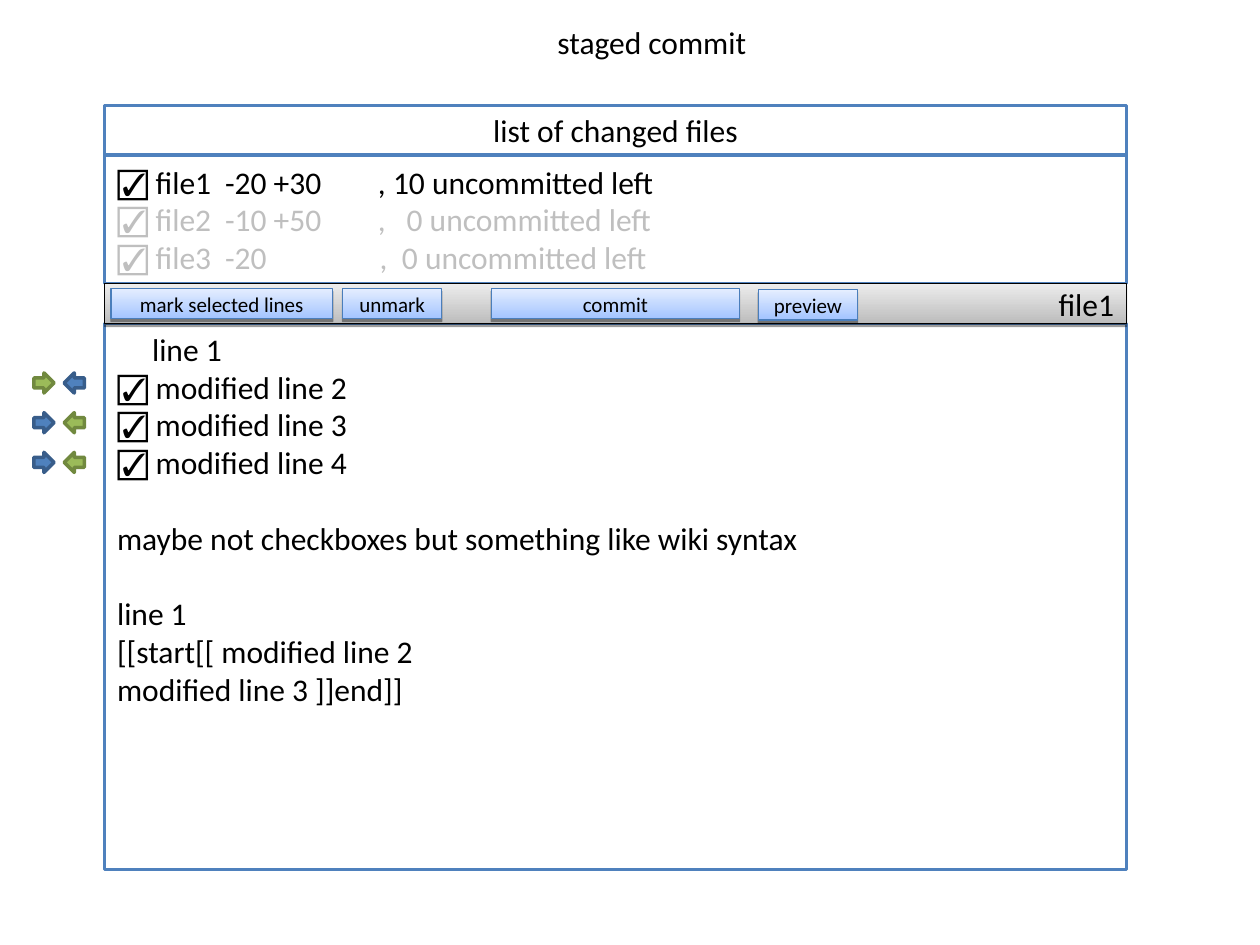
import pptx
import pptx.util
import pptx.dml.color
import pptx.enum.shapes
import pptx.enum.text
import pptx.oxml
import pptx.oxml.ns

Pt = pptx.util.Pt
SHAPE = pptx.enum.shapes.MSO_SHAPE
ALIGN = pptx.enum.text.PP_ALIGN
ANCHOR = pptx.enum.text.MSO_ANCHOR

COLORS = {
    "white": "FFFFFF", "black": "000000", "muted": "BFBFBF",
    "blue": "4F81BD", "blue_edge": "385D8A",
    "green": "9BBB59", "green_edge": "71893F",
    "button_edge": "4A7EBB", "button_dark": "A3C4FF", "button_light": "E5EEFF",
    "bar_dark": "BCBCBC", "bar_light": "EDEDED",
}

TITLE = "staged commit"
HEADER = "list of changed files"
CURRENT_FILE = "file1"
CHECK = "☑"
# text, colour, tab stops
FILES = [
    ("file1\t-20 +30\t,\t10 uncommitted left", "black", (61.7, 149, 157.7)),
    ("file2\t-10 +50\t,\t0 uncommitted left", "muted", (61.7, 149, 165.5)),
    ("file3\t-20\t,\t0 uncommitted left", "muted", (61.7, 150, 162.8)),
]
# text, checked, indent, space before
LINES = [
    ("line 1", False, 20, 0),
    ("modified line 2", True, 0, 0),
    ("modified line 3", True, 0, 0),
    ("modified line 4", True, 0, 0),
    ("maybe not checkboxes but something like wiki syntax", False, 0, 21.6),
    ("line 1", False, 0, 21.6),
    ("[[start[[ modified line 2", False, 0, 0),
    ("modified line 3 ]]end]]", False, 0, 0),
]
# label, left, top, width
BUTTONS = [
    ("mark selected lines", 63.4, 164.9, 126.7),
    ("unmark", 195.8, 164.9, 56.7),
    ("commit", 280.8, 164.9, 141.8),
    ("preview", 433.4, 165.6, 56.7),
]
# right arrow, left arrow
ARROWS = [("green", "blue"), ("blue", "green"), ("blue", "green")]

LEFT, WIDTH = 59.8, 583.9
HEADER_TOP, FILES_TOP, BAR_TOP, LINES_TOP, BOTTOM = 60.3, 88.6, 162, 185, 496.8
BUTTON_HEIGHT = 17.3
ARROW_TOP, ARROW_STEP, ARROW_SIZE = 213.1, 22.7, 11.5
RIGHT_ARROW_X, LEFT_ARROW_X = 19.4, 36.7


def rgb(name):
    return pptx.dml.color.RGBColor.from_string(COLORS[name])


def add_box(shape, x, y, w, h, fill, edge, weight):
    sp = s.shapes.add_shape(shape, Pt(x), Pt(y), Pt(w), Pt(h))
    sp.shadow.inherit = False
    sp.fill.solid()
    sp.fill.fore_color.rgb = rgb(fill)
    sp.line.color.rgb = rgb(edge)
    sp.line.width = Pt(weight)
    sp.text_frame.vertical_anchor = ANCHOR.MIDDLE
    return sp


def add_raised(x, y, w, h, style, edge):
    sp = add_box(SHAPE.RECTANGLE, x, y, w, h, "white", edge, 0.75)
    sp.fill.gradient()
    sp.fill.gradient_angle = 90
    for stop, position, tone in zip(sp.fill.gradient_stops, (0, 1), ("dark", "light")):
        stop.position = position
        stop.color.rgb = rgb(f"{style}_{tone}")
    effects = sp._element.spPr.find(pptx.oxml.ns.qn("a:effectLst"))
    effects.append(pptx.oxml.parse_xml(
        f'<a:outerShdw {pptx.oxml.ns.nsdecls("a")} blurRad="0" dist="{Pt(1.6)}" '
        'dir="5400000" rotWithShape="0"><a:srgbClr val="000000">'
        '<a:alpha val="38000"/></a:srgbClr></a:outerShdw>'))
    return sp


def add_run(p, text, color="black", size=18, font="Calibri"):
    r = p.add_run()
    r.text = text
    r.font.name = font
    r.font.size = Pt(size)
    r.font.color.rgb = rgb(color)


def add_label(sp, text, align, size=18):
    p = sp.text_frame.paragraphs[0]
    p.alignment = align
    add_run(p, text, size=size)


def next_paragraph(tf, i):
    p = tf.add_paragraph() if i else tf.paragraphs[0]
    p.alignment = ALIGN.LEFT
    return p


def add_checked(p, text, color="black"):
    add_run(p, CHECK, color, font="Arial")
    add_run(p, " " + text, color)


def add_tabs(p, stops):
    tabs = "".join(f'<a:tab pos="{Pt(x)}" algn="l"/>' for x in stops)
    p._p.get_or_add_pPr().append(pptx.oxml.parse_xml(
        f'<a:tabLst {pptx.oxml.ns.nsdecls("a")}>{tabs}</a:tabLst>'))


prs = pptx.Presentation()
prs.slide_width, prs.slide_height = Pt(720), Pt(540)
s = prs.slides.add_slide(prs.slide_layouts[6])

lines_box, files_box, header_box = [
    add_box(SHAPE.RECTANGLE, LEFT, top, WIDTH, end - top, "white", "blue", 2)
    for top, end in ((LINES_TOP, BOTTOM), (FILES_TOP, BAR_TOP), (HEADER_TOP, FILES_TOP))
]

tf = lines_box.text_frame
tf.vertical_anchor = ANCHOR.TOP
for i, (text, checked, indent, before) in enumerate(LINES):
    p = next_paragraph(tf, i)
    if indent:
        p._p.get_or_add_pPr().set("marL", str(Pt(indent)))
    if before:
        p.space_before = Pt(before)
    if checked:
        add_checked(p, text)
    else:
        add_run(p, text)

for i, (text, color, stops) in enumerate(FILES):
    p = next_paragraph(files_box.text_frame, i)
    add_tabs(p, stops)
    add_checked(p, text, color)

add_label(header_box, HEADER, ALIGN.CENTER)

bar = add_raised(LEFT, BAR_TOP, WIDTH, LINES_TOP - BAR_TOP, "bar", "black")
add_label(bar, CURRENT_FILE, ALIGN.RIGHT)

for label, x, y, w in BUTTONS:
    button = add_raised(x, y, w, BUTTON_HEIGHT, "button", "button_edge")
    add_label(button, label, ALIGN.CENTER, 12)

title = s.shapes.add_textbox(Pt(269.3), Pt(9.4), Pt(164.2), Pt(28.8))
title.text_frame.word_wrap = True
add_label(title, TITLE, ALIGN.RIGHT)

for i, (right, left) in enumerate(ARROWS):
    y = ARROW_TOP + i * ARROW_STEP
    for shape, x, color in ((SHAPE.LEFT_ARROW, LEFT_ARROW_X, left),
                            (SHAPE.RIGHT_ARROW, RIGHT_ARROW_X, right)):
        add_box(shape, x, y, ARROW_SIZE, ARROW_SIZE, color, f"{color}_edge", 2)

prs.save("out.pptx")
